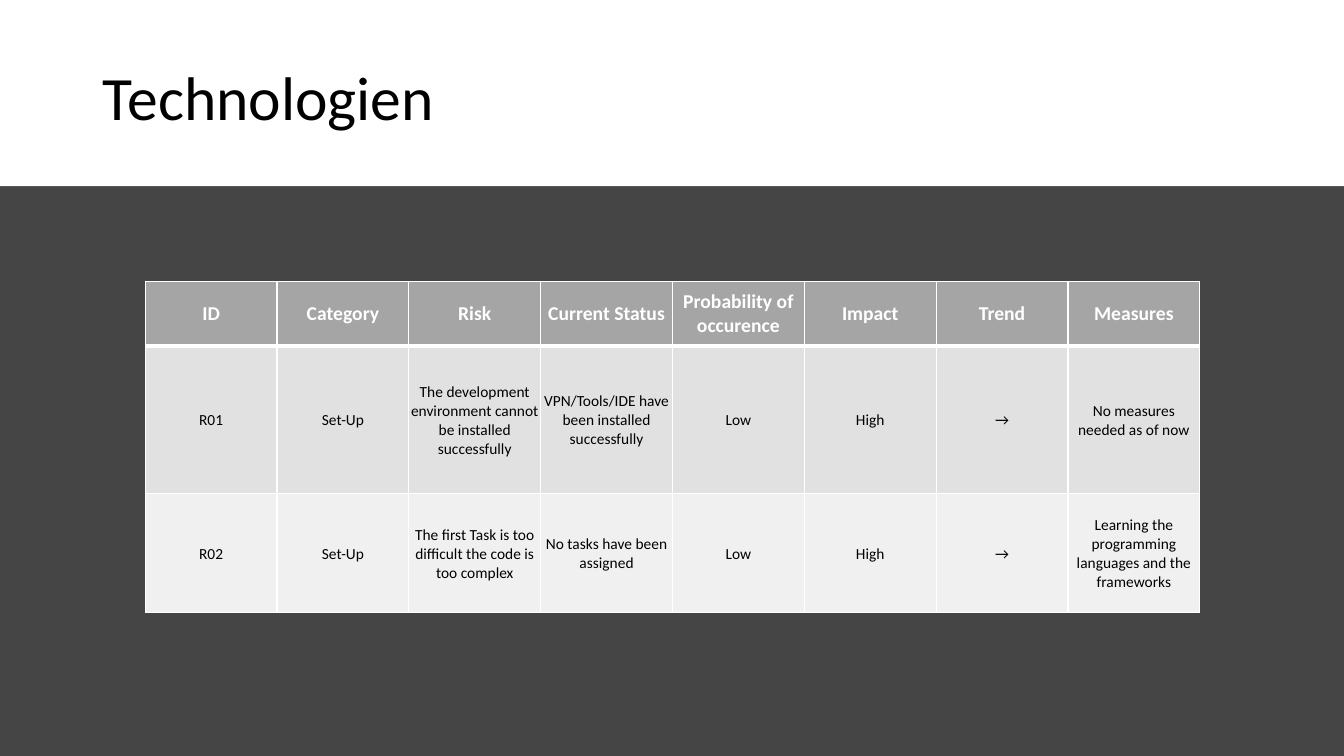
from dataclasses import dataclass

from lxml import etree
from pptx import Presentation
from pptx import util as u
from pptx.dml.color import RGBColor
from pptx.enum import shapes, text
from pptx.oxml import ns

HEADING = "Technologien"
RISKS = [
    ("ID", "Category", "Risk", "Current Status", "Probability of occurence",
     "Impact", "Trend", "Measures"),
    ("R01", "Set-Up", "The development environment cannot be installed successfully",
     "VPN/Tools/IDE have been installed successfully", "Low", "High", "→",
     "No measures needed as of now"),
    ("R02", "Set-Up", "The first Task is too difficult the code is too complex",
     "No tasks have been assigned", "Low", "High", "→",
     "Learning the programming languages and the frameworks"),
]
ROW_HEIGHTS = (0.64, 1.47, 1.18)
SLIDE_W, SLIDE_H, BAND_H = 13.33, 7.5, 1.85
TABLE_LEFT, TABLE_TOP, TABLE_W = 1.44, 2.79, 10.46


@dataclass(frozen=True)
class Theme:
    font: str = "Calibri"
    dark: str = "454545"
    light: str = "FFFFFF"
    ink: str = "000000"
    row_fills: tuple = ("A5A5A5", "E1E1E1", "F0F0F0")
    title_size: int = 44
    header_size: int = 14
    body_size: int = 11
    rule: int = 1
    header_rule: int = 3


THEME = Theme()


def paint(fill, color):
    fill.solid()
    fill.fore_color.rgb = RGBColor.from_string(color)


def style(paragraph, size, color, align, bold=False):
    paragraph.alignment = align
    paragraph.font.name = THEME.font
    paragraph.font.size = u.Pt(size)
    paragraph.font.bold = bold
    paragraph.font.color.rgb = RGBColor.from_string(color)


def set_borders(cell, top, bottom):
    properties = cell._tc.get_or_add_tcPr()
    widths = {"L": THEME.rule, "R": THEME.rule, "T": top, "B": bottom}
    for side, width in widths.items():
        line = etree.SubElement(properties, ns.qn(f"a:ln{side}"), w=str(u.Pt(width)))
        solid = etree.SubElement(line, ns.qn("a:solidFill"))
        etree.SubElement(solid, ns.qn("a:srgbClr"), val=THEME.light)


deck = Presentation()
deck.slide_width, deck.slide_height = u.Inches(SLIDE_W), u.Inches(SLIDE_H)
slide = deck.slides.add_slide(deck.slide_layouts[5])
paint(slide.background.fill, THEME.dark)

title = slide.shapes.title
bands = ((0, BAND_H, THEME.light), (BAND_H, SLIDE_H - BAND_H, THEME.dark))
for top, height, color in bands:
    band = slide.shapes.add_shape(shapes.MSO_SHAPE.RECTANGLE, 0, u.Inches(top),
                                  u.Inches(SLIDE_W), u.Inches(height))
    band.shadow.inherit = False
    paint(band.fill, color)
    band.line.fill.background()
    title._element.addprevious(band._element)

title.left, title.top = u.Inches(0.92), u.Inches(0.4)
title.width, title.height = u.Inches(11.5), u.Inches(1.2)
title.text_frame.text = HEADING
title.text_frame.auto_size = text.MSO_AUTO_SIZE.NONE
title.text_frame.vertical_anchor = text.MSO_ANCHOR.MIDDLE
heading = title.text_frame.paragraphs[0]
heading.line_spacing = 0.9
style(heading, THEME.title_size, THEME.ink, text.PP_ALIGN.LEFT)

risk_table = slide.shapes.add_table(
    len(RISKS), len(RISKS[0]), u.Inches(TABLE_LEFT), u.Inches(TABLE_TOP),
    u.Inches(TABLE_W), u.Inches(sum(ROW_HEIGHTS))).table
for column in risk_table.columns:
    column.width = u.Inches(TABLE_W / len(RISKS[0]))

for r, (risk, height, color) in enumerate(zip(RISKS, ROW_HEIGHTS, THEME.row_fills)):
    risk_table.rows[r].height = u.Inches(height)
    header = r == 0
    size = THEME.header_size if header else THEME.body_size
    ink = THEME.light if header else THEME.ink
    top = THEME.header_rule if r == 1 else THEME.rule
    bottom = THEME.header_rule if header else THEME.rule
    for c, entry in enumerate(risk):
        cell = risk_table.cell(r, c)
        cell.text = entry
        cell.vertical_anchor = text.MSO_ANCHOR.MIDDLE
        cell.margin_left = cell.margin_right = cell.margin_top = u.Inches(0.01)
        cell.margin_bottom = 0
        set_borders(cell, top, bottom)
        paint(cell.fill, color)
        style(cell.text_frame.paragraphs[0], size, ink, text.PP_ALIGN.CENTER, header)

deck.save("out.pptx")
